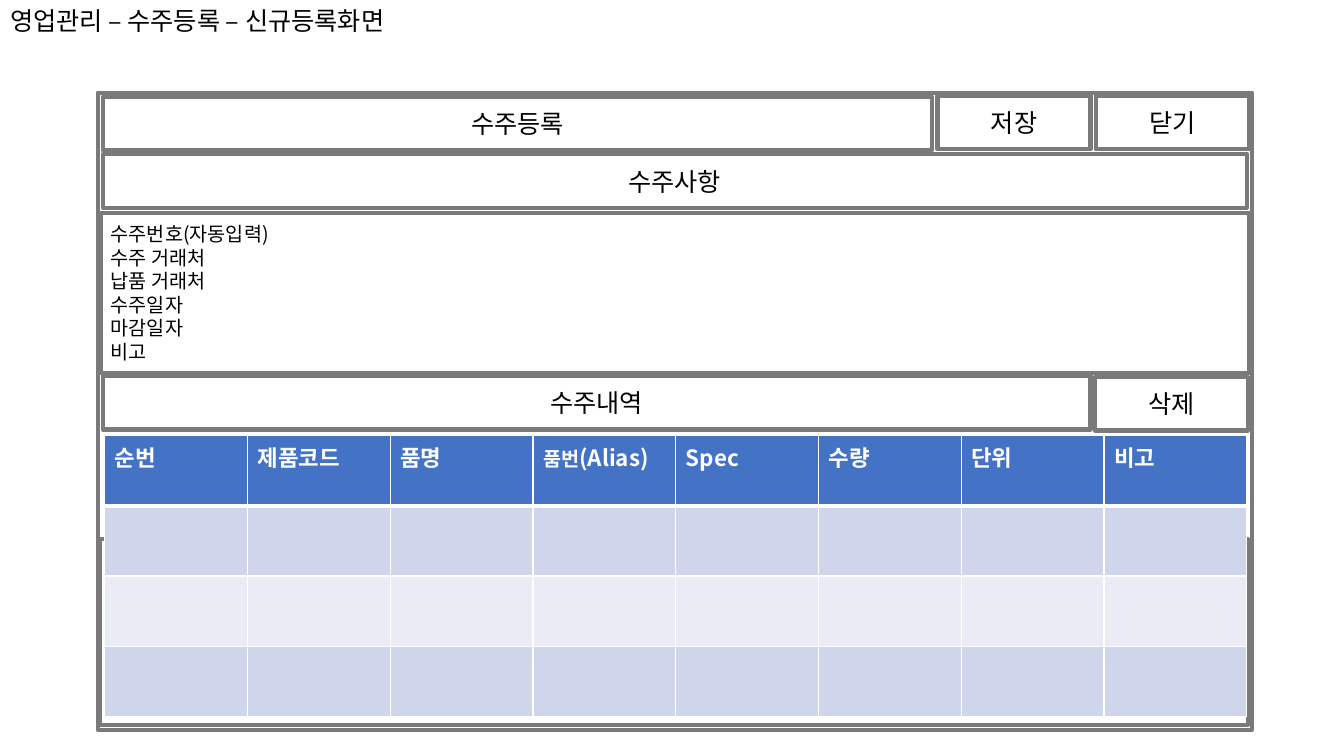
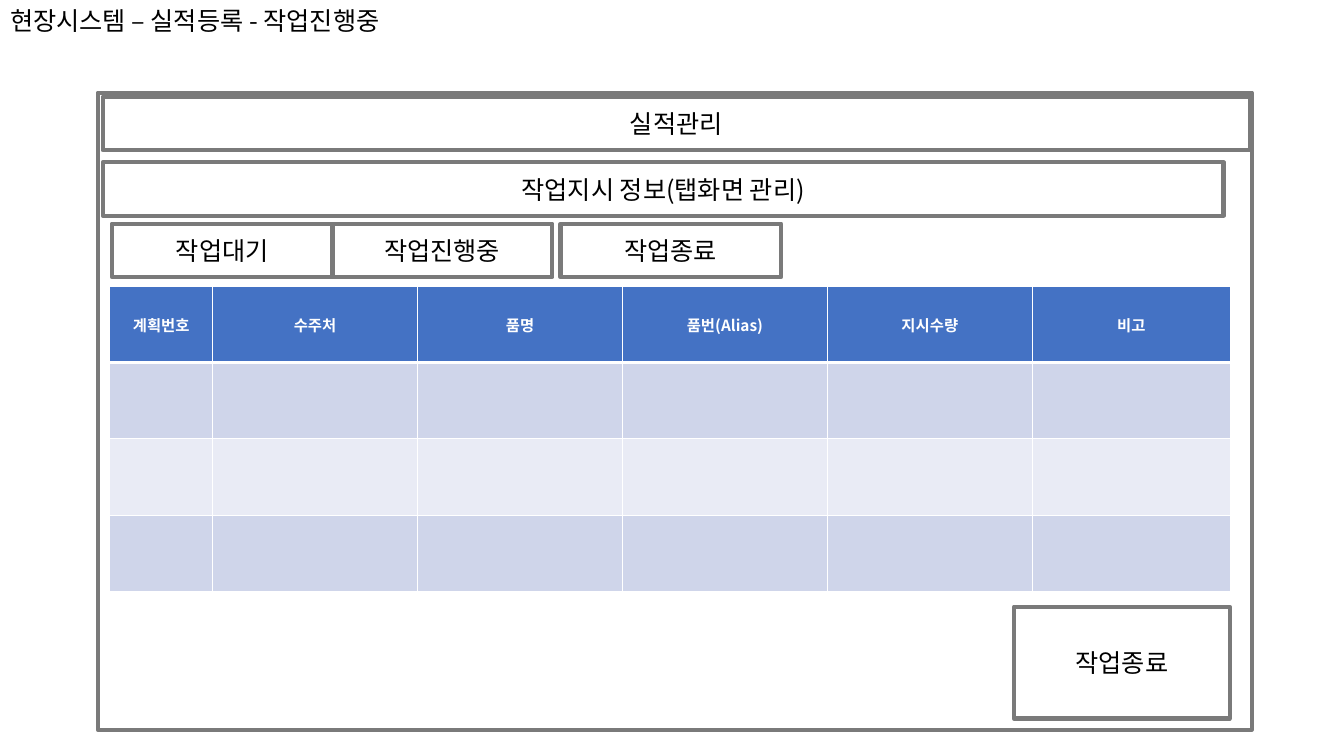
"""Build two wireframe slides for order entry and work-result entry screens."""
from dataclasses import dataclass

from lxml import etree
from pptx import Presentation
from pptx.dml.color import RGBColor
from pptx.enum import shapes, text
from pptx.oxml.ns import qn
from pptx.util import Pt


@dataclass(frozen=True)
class Theme:
    font: str = "Noto Sans CJK KR"
    ink: str = "000000"
    frame: str = "7A7A7A"
    white: str = "FFFFFF"
    header: str = "4472C4"
    bands: tuple = ("CFD5EA", "E9EBF5")
    label: int = 18
    head: int = 16
    field: int = 14
    small: int = 11
    border: int = 3
    rule: int = 1
    bar: float = 38.2


T = Theme()
TITLE_BOX = (0, 0, 313.2, 28.8)
FRAME_BOX = (69.8, 66.2, 824.4, 455)
LEFT, TOP = 73.4, 69.1


def rgb(code):
    return RGBColor.from_string(code)


def write(p, content, size=T.label, color=T.ink, bold=False, align=text.PP_ALIGN.LEFT):
    p.alignment = align
    runs = [(content, size)] if isinstance(content, str) else content
    for words, points in runs:
        r = p.add_run()
        r.text = words
        f = r.font
        f.size, f.bold, f.name = Pt(points), bold, T.font
        f.color.rgb = rgb(color)
        etree.SubElement(f._element, qn("a:ea"), typeface=T.font)


def place(sp, box):
    sp.left, sp.top, sp.width, sp.height = map(Pt, box)


def outline(sp):
    sp.fill.background()
    sp.line.color.rgb = rgb(T.frame)
    sp.line.width = Pt(T.border)


def add_box(s, box, label=None):
    sp = s.shapes.add_shape(shapes.MSO_SHAPE.RECTANGLE, *map(Pt, box))
    sp.shadow.inherit = False
    outline(sp)
    if label:
        tf = sp.text_frame
        tf.word_wrap = True
        tf.vertical_anchor = text.MSO_ANCHOR.MIDDLE
        write(tf.paragraphs[0], label, align=text.PP_ALIGN.CENTER)


def add_bar(s, left, top, width, label):
    add_box(s, (left, top, width, T.bar), label)


def add_fields(s, box, fields):
    sp = s.placeholders[1]
    place(sp, box)
    outline(sp)
    tf = sp.text_frame
    tf.auto_size = text.MSO_AUTO_SIZE.NONE
    tf.vertical_anchor = text.MSO_ANCHOR.MIDDLE
    for i, field in enumerate(fields):
        p = tf.add_paragraph() if i else tf.paragraphs[0]
        write(p, field, size=T.field)
        p.space_before = Pt(0)
        p.line_spacing = Pt(16.8)
        pPr = p._p.get_or_add_pPr()
        pPr.set("marL", "0")
        pPr.set("indent", "0")
        etree.SubElement(pPr, qn("a:buNone"))


def set_borders(cell, top, bottom):
    tcPr = cell._tc.get_or_add_tcPr()
    widths = {"lnL": T.rule, "lnR": T.rule, "lnT": top, "lnB": bottom}
    for i, (side, width) in enumerate(widths.items()):
        ln = etree.Element(qn(f"a:{side}"), w=str(Pt(width)))
        fill = etree.SubElement(ln, qn("a:solidFill"))
        etree.SubElement(fill, qn("a:srgbClr"), val=T.white)
        tcPr.insert(i, ln)


def add_grid(s, left, top, widths, row_height, heads, size=T.head,
             align=text.PP_ALIGN.LEFT, anchor=text.MSO_ANCHOR.TOP, rows=4):
    shape = s.shapes.add_table(rows, len(heads), Pt(left), Pt(top),
                               Pt(sum(widths)), Pt(row_height * rows))
    table = shape.table
    for column, width in zip(table.columns, widths):
        column.width = Pt(width)
    for i, row in enumerate(table.rows):
        row.height = Pt(row_height)
        for cell, head in zip(row.cells, heads):
            cell.fill.solid()
            cell.fill.fore_color.rgb = rgb(T.bands[(i - 1) % 2] if i else T.header)
            set_borders(cell, T.border if i == 1 else T.rule, T.rule if i else T.border)
            if i == 0:
                cell.vertical_anchor = anchor
                write(cell.text_frame.paragraphs[0], head, size=size,
                      color=T.white, bold=True, align=align)


def add_screen(prs, layout, title):
    s = prs.slides.add_slide(prs.slide_layouts[layout])
    sp = s.shapes.title
    place(sp, TITLE_BOX)
    tf = sp.text_frame
    tf.auto_size = text.MSO_AUTO_SIZE.NONE
    tf.vertical_anchor = text.MSO_ANCHOR.MIDDLE
    write(tf.paragraphs[0], title)
    add_box(s, FRAME_BOX)
    return s


def build_order_entry(prs):
    s = add_screen(prs, 1, "영업관리 – 수주등록 – 신규등록화면")
    add_bar(s, LEFT, TOP, 592.6, "수주등록")
    add_fields(s, (72, 151.9, 820.1, 114.5),
               ["수주번호(자동입력)", "수주 거래처", "납품 거래처", "수주일자", "마감일자", "비고"])
    add_bar(s, LEFT, 110.2, 817.2, "수주사항")
    add_box(s, (71.3, 385.2, 820.1, 132.5))
    add_bar(s, LEFT, 268.6, 705.6, "수주내역")
    alias = [("품번", T.field), ("(Alias)", T.head)]
    heads = ["순번", "제품코드", "품명", alias, "Spec", "수량", "단위", "비고"]
    add_grid(s, 74.9, 311, [101.97] * len(heads), 50.25, heads)
    for left, top, label in ((669.6, 68.4, "저장"), (782.6, 68.4, "닫기"), (781.9, 269.3, "삭제")):
        add_bar(s, left, top, 109.4, label)


def build_work_results(prs):
    s = add_screen(prs, 5, "현장시스템 – 실적등록 - 작업진행중")
    add_bar(s, LEFT, TOP, 819.4, "실적관리")
    add_bar(s, LEFT, 115.9, 800.6, "작업지시 정보(탭화면 관리)")
    add_grid(s, 78.5, 204.5, [73.4] + [146.4] * 4 + [141.6], 54.5,
             ["계획번호", "수주처", "품명", "품번(Alias)", "지시수량", "비고"],
             size=T.small, align=text.PP_ALIGN.CENTER, anchor=text.MSO_ANCHOR.MIDDLE)
    add_box(s, (724.3, 433.4, 154.1, 79.9), "작업종료")
    for left, label in ((79.9, "작업대기"), (236.9, "작업진행중"), (400.3, "작업종료")):
        add_bar(s, left, 159.8, 157.7, label)


def main():
    prs = Presentation()
    prs.slide_width, prs.slide_height = Pt(960), Pt(540)
    build_order_entry(prs)
    build_work_results(prs)
    prs.save("out.pptx")


if __name__ == "__main__":
    main()
